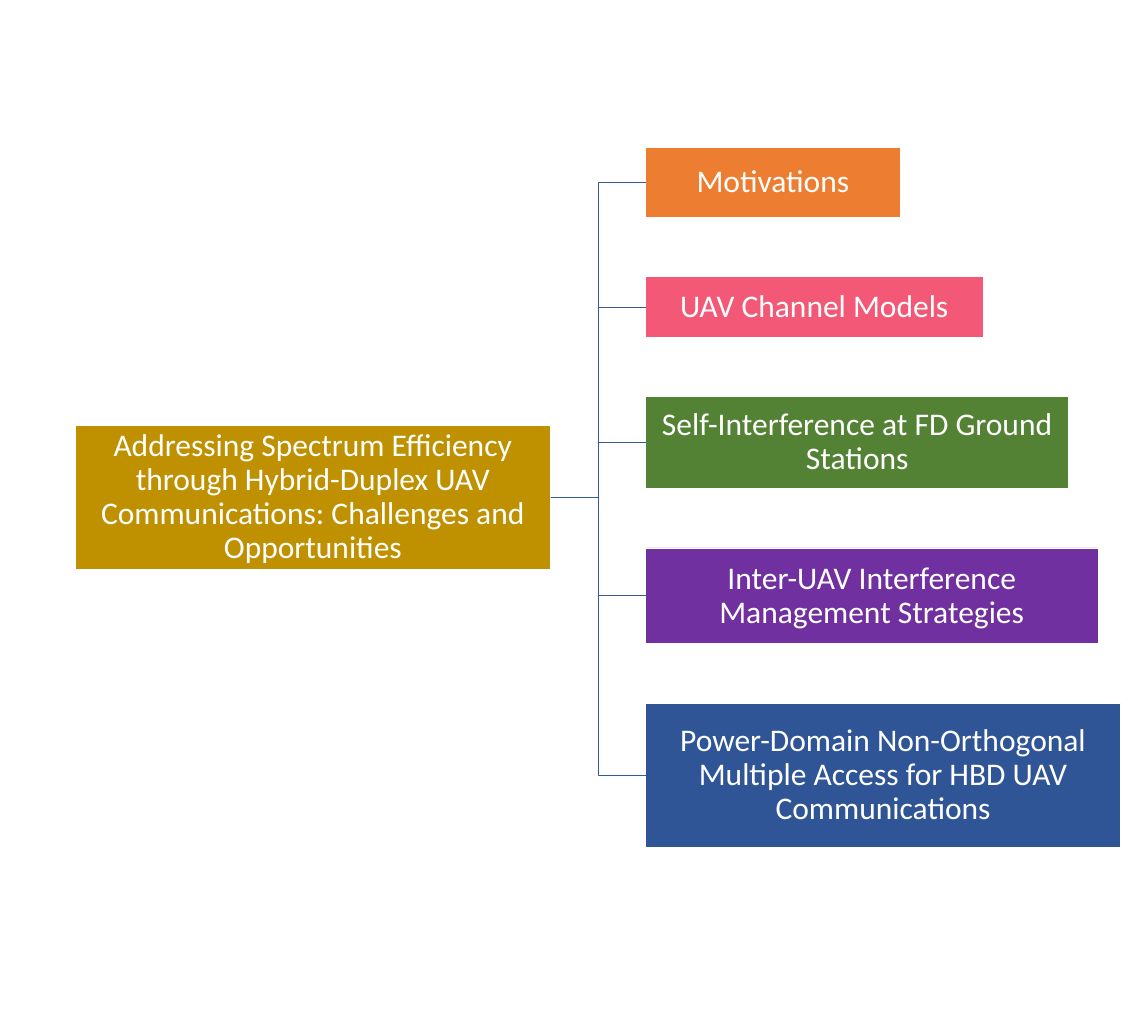
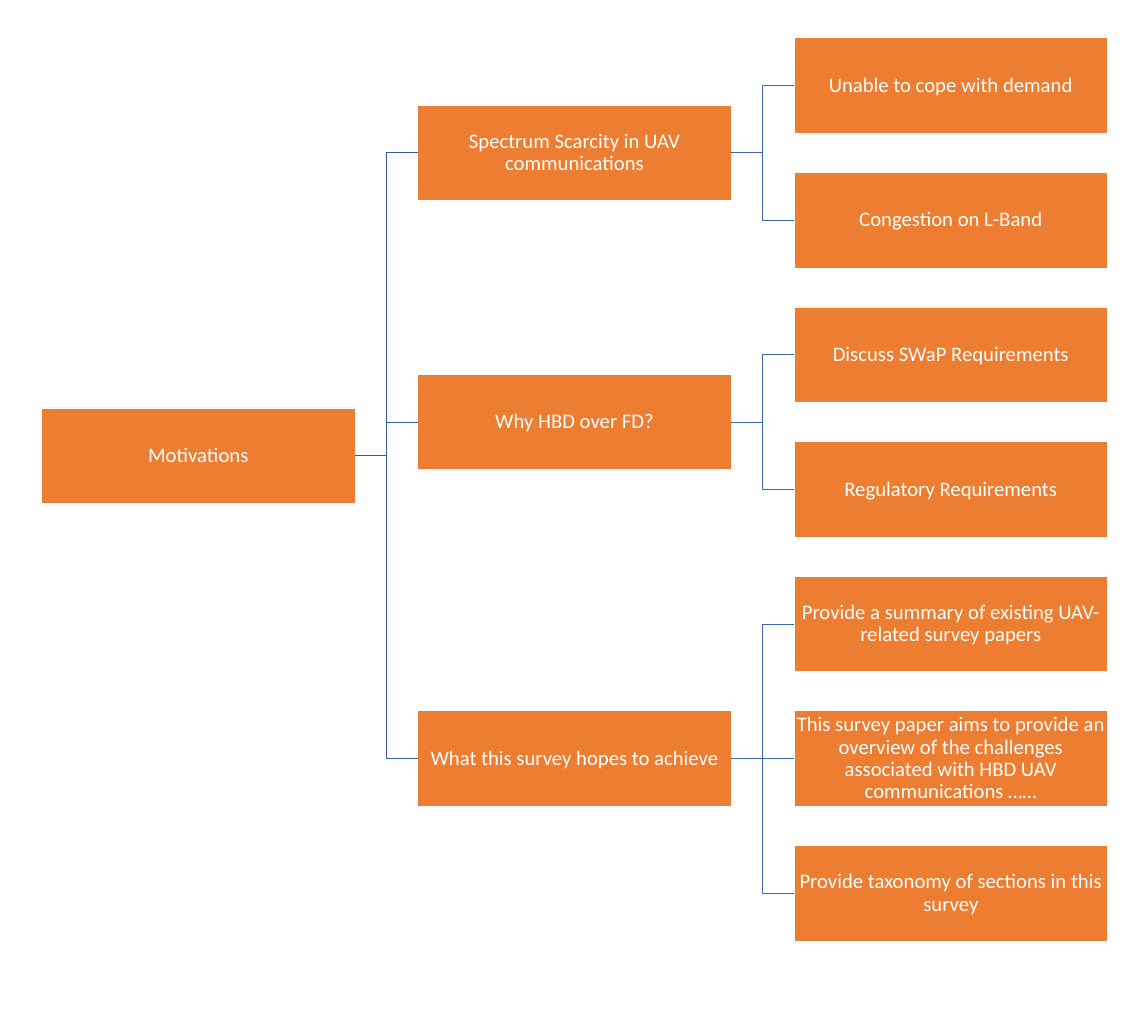
"""Builds two slides, each a horizontal tree of survey topics."""
from pptx import Presentation, util as u
from pptx.dml.color import RGBColor
from pptx.enum import shapes, text
from pptx.oxml.ns import qn
from lxml import etree

WHITE = "FFFFFF"
LINES = ["365B9D", "3E67B2"]


def node(label, fill, wide, high, *kids):
    return dict(label=label, fill=fill, wide=wide, high=high, kids=kids)


def tile(label, *kids):
    return node(label, "ED7D31", 12.29, 3.75, *kids)


OUTLINE = node(
    "Addressing Spectrum Efficiency through Hybrid-Duplex UAV Communications: "
    "Challenges and Opportunities", "BF9000", 18.62, 5.66,
    node("Motivations", "ED7D31", 9.98, 2.77),
    node("UAV Channel Models", "F35976", 13.23, 2.36),
    node("Self-Interference at FD Ground Stations", "548235", 16.59, 3.63),
    node("Inter-UAV Interference Management Strategies", "7030A0", 17.73, 3.76),
    node("Power-Domain Non-Orthogonal Multiple Access for HBD UAV Communications",
         "2F5597", 18.62, 5.66))

MOTIVES = tile(
    "Motivations",
    tile("Spectrum Scarcity in UAV communications",
         tile("Unable to cope with demand"),
         tile("Congestion on L-Band")),
    tile("Why HBD over FD?",
         tile("Discuss SWaP Requirements"),
         tile("Regulatory Requirements")),
    tile("What this survey hopes to achieve",
         tile("Provide a summary of existing UAV-related survey papers"),
         tile("This survey paper aims to provide an overview of the challenges "
              "associated with HBD UAV communications ……"),
         tile("Provide taxonomy of sections in this survey")))

TREES = [
    dict(root=OUTLINE, left=2.96, top=5.77, across=3.73, down=2.32, size=35),
    dict(root=MOTIVES, left=1.63, top=1.48, across=2.46, down=1.53, size=23),
]


def color(code):
    return RGBColor.from_string(code)


def add_box(slide, item, left, top, size):
    box = slide.shapes.add_shape(
        shapes.MSO_SHAPE.RECTANGLE,
        *map(u.Cm, (left, top, item["wide"], item["high"])))
    box.shadow.inherit = False
    box.fill.solid()
    box.fill.fore_color.rgb = color(item["fill"])
    box.line.color.rgb = color(WHITE)
    box.line.width = u.Pt(1)
    frame = box.text_frame
    frame.word_wrap = True
    frame.vertical_anchor = text.MSO_ANCHOR.MIDDLE
    frame.margin_left = frame.margin_right = u.Cm(0.05)
    frame.margin_top = frame.margin_bottom = u.Cm(0.05)
    para = frame.paragraphs[0]
    para.text = item["label"]
    para.alignment = text.PP_ALIGN.CENTER
    para.line_spacing = 0.9
    para.font.name = "Calibri"
    para.font.size = u.Pt(size)
    para.font.color.rgb = color(WHITE)
    return box


def join(slide, start, end, tint):
    level = abs(start.top + start.height / 2 - end.top - end.height / 2) < u.Cm(0.02)
    kind = shapes.MSO_CONNECTOR.STRAIGHT if level else shapes.MSO_CONNECTOR.ELBOW
    link = slide.shapes.add_connector(kind, 0, 0, 0, 0)
    link.begin_connect(start, 3)
    link.end_connect(end, 1)
    link.line.color.rgb = color(tint)
    link.line.width = u.Pt(1)
    etree.SubElement(link._element.spPr, qn("a:effectLst"))


def grow(slide, tree, item, left, top, depth=0):
    """Draw a branch and return its box and the top of the next free row."""
    kids, following = [], top
    for kid in item["kids"]:
        box, following = grow(slide, tree, kid, left + item["wide"] + tree["across"],
                              following, depth + 1)
        kids.append(box)
    if kids:
        middle = (kids[0].top + kids[-1].top + kids[-1].height) / 2
        top = u.Length(middle).cm - item["high"] / 2
    else:
        following = top + item["high"] + tree["down"]
    own = add_box(slide, item, left, top, tree["size"])
    for kid in kids:
        join(slide, own, kid, LINES[depth])
    return own, following


def main():
    deck = Presentation()
    deck.slide_width, deck.slide_height = u.Cm(45), u.Cm(40)
    for tree in TREES:
        slide = deck.slides.add_slide(deck.slide_layouts[6])
        grow(slide, tree, tree["root"], tree["left"], tree["top"])
    deck.save("out.pptx")


if __name__ == "__main__":
    main()
